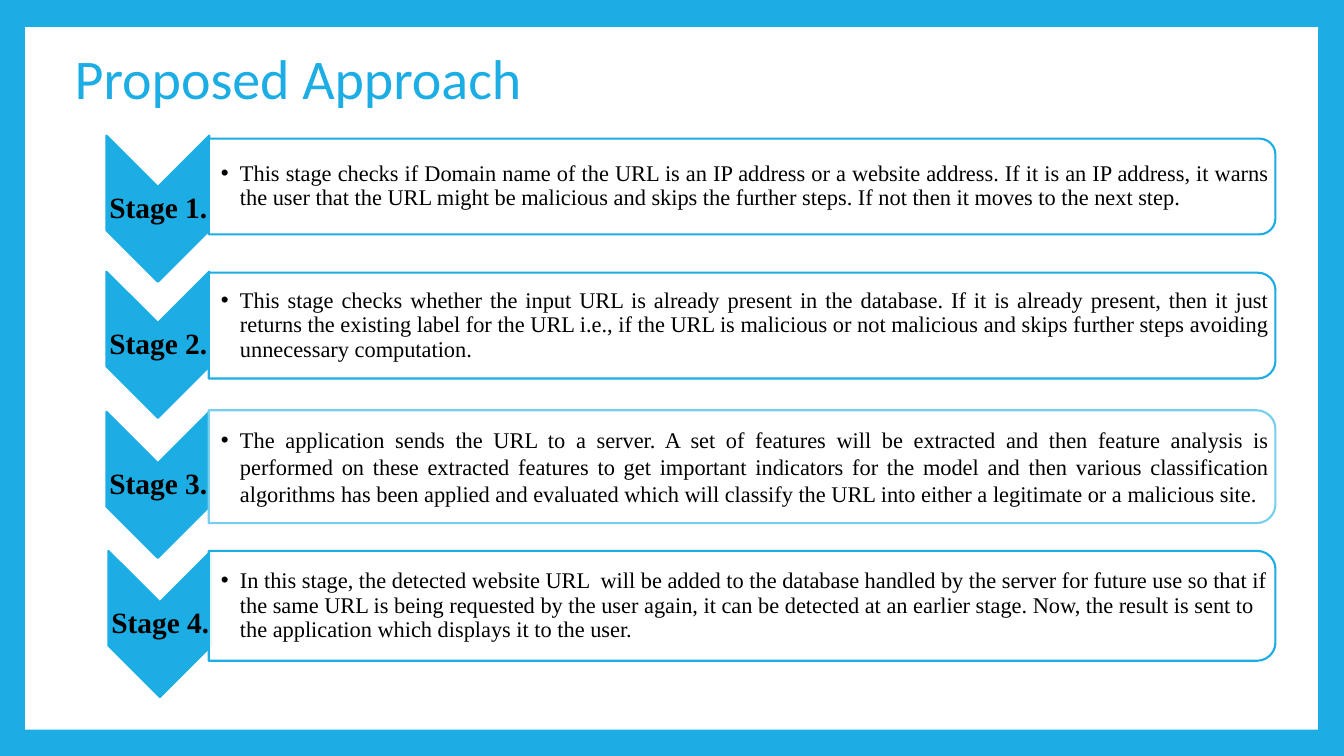
from lxml import etree
from pptx import Presentation
from pptx.dml.color import RGBColor
from pptx.enum.shapes import MSO_SHAPE
from pptx.enum.text import MSO_ANCHOR, PP_ALIGN
from pptx.oxml.ns import qn
from pptx.util import Pt

PX = 9144  # 100 px to the inch
BLUE = RGBColor(0x1C, 0xAD, 0xE4)
PALE_BLUE = RGBColor(0x77, 0xCE, 0xEF)
WHITE = RGBColor(0xFF, 0xFF, 0xFF)
BLACK = RGBColor(0x00, 0x00, 0x00)
RECTANGLE = MSO_SHAPE.RECTANGLE
CHEVRON = MSO_SHAPE.CHEVRON
ROUND_TOP = MSO_SHAPE.ROUND_2_SAME_RECTANGLE
MIDDLE = MSO_ANCHOR.MIDDLE
LEFT, CENTER, JUSTIFY = PP_ALIGN.LEFT, PP_ALIGN.CENTER, PP_ALIGN.JUSTIFY

CHEVRON_LENGTH, CHEVRON_WIDTH = 145, 102
LABEL_HEIGHT = 44
PANEL_LEFT, PANEL_LENGTH = 207, 1058
TEXT_WIDTH = 1053

# chevron left, chevron middle, panel middle, panel height, outline,
# alignment, line spacing, text
STAGES = [
    (84, 207, 185, 95, BLUE, JUSTIFY, 0.9,
     "This stage checks if Domain name of the URL is an IP address or a website "
     "address. If it is an IP address, it warns the user that the URL might be "
     "malicious and skips the further steps. If not then it moves to the next step."),
    (84, 342, 323, 105, BLUE, JUSTIFY, 0.9,
     "This stage checks whether the input URL is already present in the database. "
     "If it is already present, then it just returns the existing label for the URL "
     "i.e., if the URL is malicious or not malicious and skips further steps "
     "avoiding unnecessary computation."),
    (84, 481, 463, 112, PALE_BLUE, JUSTIFY, 1.0,
     "The application sends the URL to a server. A set of features will be extracted "
     "and then feature analysis is performed on these extracted features to get "
     "important indicators for the model and then various classification algorithms "
     "has been applied and evaluated which will classify the URL into either a "
     "legitimate or a malicious site."),
    (86, 619, 601, 109, BLUE, LEFT, 0.9,
     "In this stage, the detected website URL  will be added to the database handled "
     "by the server for future use so that if the same URL is being requested by the "
     "user again, it can be detected at an earlier stage. Now, the result is sent to "
     "the application which displays it to the user."),
]


def add_turned_shape(kind, center_x, center_y, length, breadth, fill, outline):
    """Add a shape turned a quarter clockwise about its centre."""
    shape = page.shapes.add_shape(
        kind, int((center_x - length / 2) * PX), int((center_y - breadth / 2) * PX),
        length * PX, breadth * PX)
    shape.rotation = 90
    shape.shadow.inherit = False
    shape.fill.solid()
    shape.fill.fore_color.rgb = fill
    shape.line.color.rgb = outline
    shape.line.width = Pt(1.5)
    return shape


def add_text(left, center_y, width, height, text, size, bold, align, spacing, inset):
    box = page.shapes.add_textbox(
        left * PX, int((center_y - height / 2) * PX), width * PX, height * PX)
    frame = box.text_frame
    layout = {"word_wrap": True, "vertical_anchor": MIDDLE, "margin_left": inset * PX,
              "margin_right": PX, "margin_top": PX, "margin_bottom": PX}
    for name, value in layout.items():
        setattr(frame, name, value)
    para = frame.paragraphs[0]
    para.alignment = align
    para.line_spacing = spacing
    span = para.add_run()
    span.text = text
    for name, value in {"name": "Times New Roman", "size": Pt(size), "bold": bold}.items():
        setattr(span.font, name, value)
    span.font.color.rgb = BLACK
    return para


deck = Presentation()
deck.slide_width = 1333 * PX
deck.slide_height = 750 * PX
page = deck.slides.add_slide(deck.slide_layouts[5])
page.background.fill.solid()
page.background.fill.fore_color.rgb = BLUE

sheet = page.shapes.add_shape(RECTANGLE, 25 * PX, 27 * PX, 1282 * PX, 697 * PX)
sheet.shadow.inherit = False
sheet.fill.solid()
sheet.fill.fore_color.rgb = WHITE
sheet.line.fill.background()

for number, stage in enumerate(STAGES, 1):
    (chevron_left, chevron_y, panel_y, panel_height,
     outline, align, spacing, text) = stage
    add_turned_shape(CHEVRON, chevron_left + CHEVRON_LENGTH / 2, chevron_y,
                     CHEVRON_LENGTH, CHEVRON_WIDTH, BLUE, BLUE)
    add_text(chevron_left + 22, chevron_y, CHEVRON_WIDTH, LABEL_HEIGHT,
             f"Stage {number}.", 21, True, CENTER, 0.9, 1)

    panel = add_turned_shape(ROUND_TOP, PANEL_LEFT + PANEL_LENGTH / 2, panel_y,
                             panel_height, PANEL_LENGTH, WHITE, outline)
    panel_color = panel._element.spPr.find(qn("a:solidFill"))[0]
    etree.SubElement(panel_color, qn("a:alpha"), val="90000")
    para = add_text(PANEL_LEFT, panel_y, TEXT_WIDTH, panel_height - 10,
                    text, 16, False, align, spacing, 12)
    properties = para._p.get_or_add_pPr()
    properties.set("marL", str(19 * PX))
    properties.set("indent", str(-19 * PX))
    etree.SubElement(properties, qn("a:buFont"), typeface="Arial")
    etree.SubElement(properties, qn("a:buChar"), char="•")

title = page.shapes.title
for name, value in {"left": 64, "top": 40, "width": 752, "height": 82}.items():
    setattr(title, name, value * PX)
title.text_frame.text = "Proposed Approach"
title.text_frame.vertical_anchor = MIDDLE
heading = title.text_frame.paragraphs[0]
heading.alignment = LEFT
heading.line_spacing = 0.9
heading.font.name = "Calibri"
heading.font.size = Pt(40)
heading.font.color.rgb = BLUE
# The title stands in front of the white sheet.
sheet._element.addnext(title._element)

deck.save("out.pptx")
